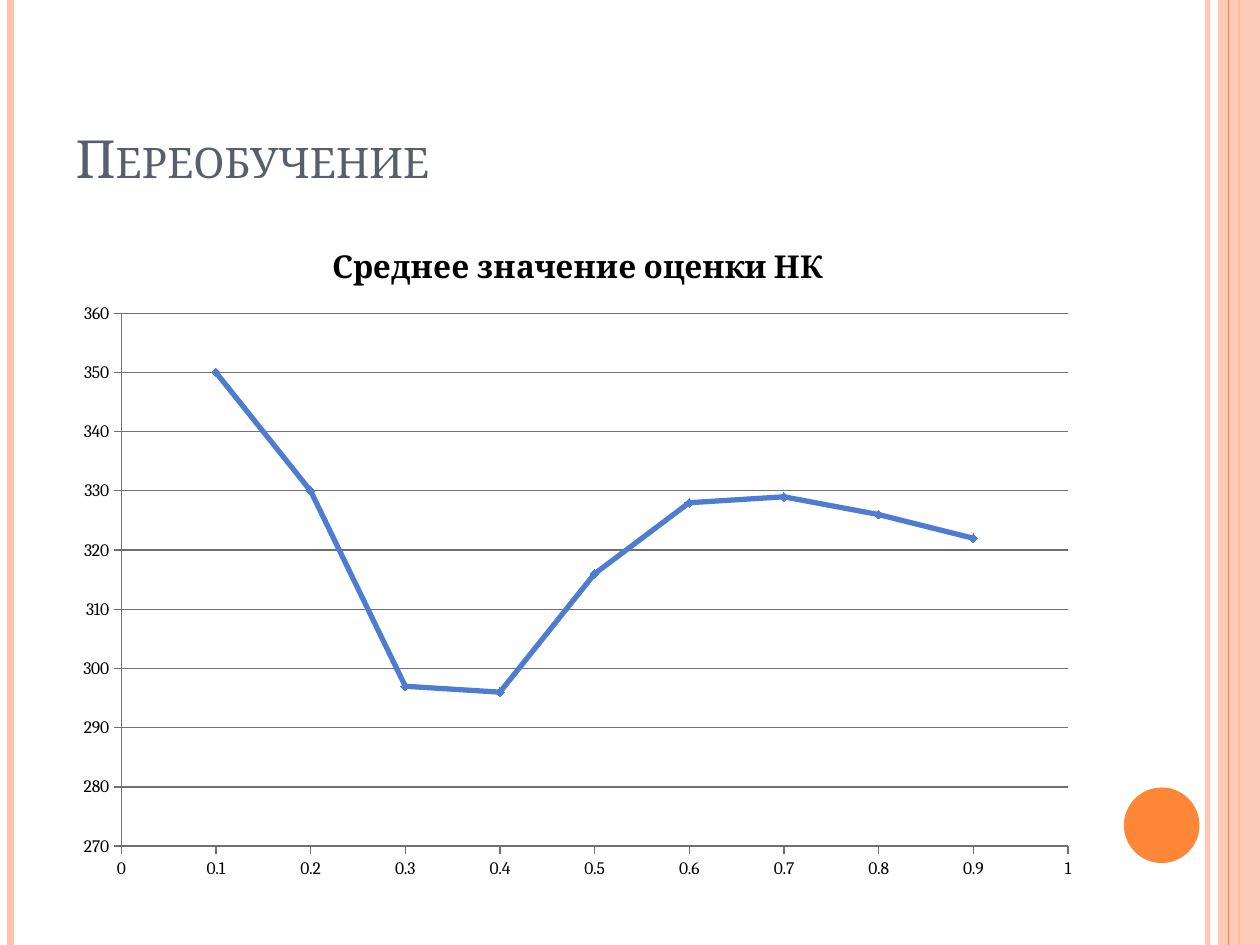
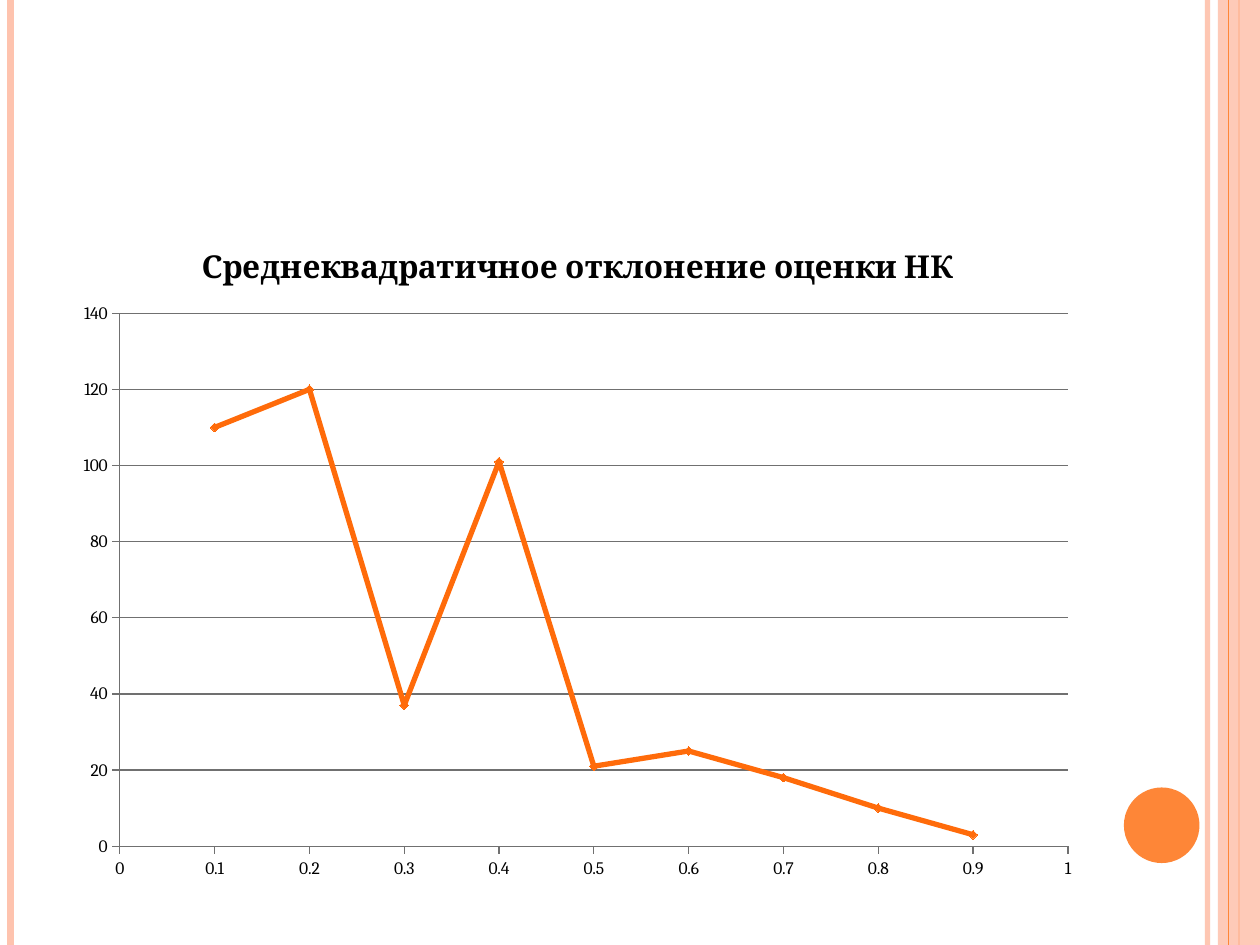
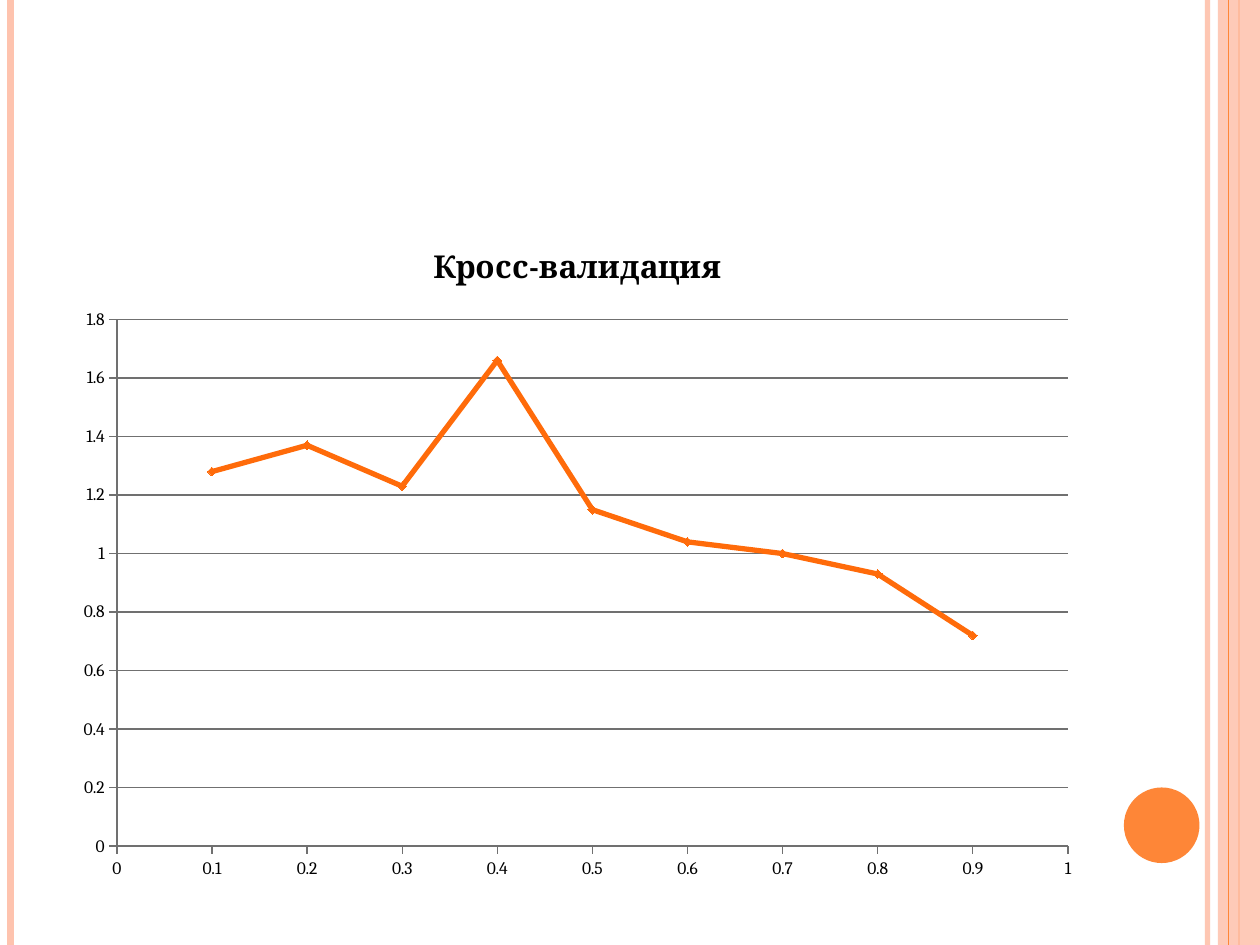
from lxml.etree import SubElement
from pptx import Presentation
from pptx.chart.data import XyChartData
from pptx.dml.color import RGBColor
from pptx.enum.chart import XL_CHART_TYPE, XL_MARKER_STYLE, XL_TICK_LABEL_POSITION, XL_TICK_MARK
from pptx.enum.shapes import MSO_CONNECTOR, MSO_SHAPE
from pptx.enum.text import MSO_ANCHOR, PP_ALIGN
from pptx.oxml.ns import qn
from pptx.util import Pt

FONT = "Cambria"
PEACH = RGBColor(0xFE, 0xC3, 0xAE)
ORANGE = RGBColor(0xFE, 0x86, 0x37)
SLATE = RGBColor(0x57, 0x5F, 0x6D)
BLACK = RGBColor(0, 0, 0)
GRID_GRAY = RGBColor(0x70, 0x70, 0x70)
BLUE_SERIES = RGBColor(0x4E, 0x7C, 0xD0)
ORANGE_SERIES = RGBColor(0xFF, 0x6B, 0x0A)

SLIDE_WIDTH, SLIDE_HEIGHT = 720, 540
CHART_LEFT, CHART_TOP, CHART_WIDTH, CHART_HEIGHT = 36, 126, 588, 384
PLOT_RIGHT, PLOT_BOTTOM = 610.3, 483.6
TITLE_LAYOUT, BLANK_LAYOUT = 5, 6
SHARES = [step / 10 for step in range(1, 10)]

# slide title, chart title, values, series colour, axis (low, high, step), plot (left, top)
CHARTS = [
    ("Переобучение", "Среднее значение оценки НК",
     [350, 330, 297, 296, 316, 328, 329, 326, 322],
     BLUE_SERIES, (270, 360, 10), (69.3, 179)),
    (None, "Среднеквадратичное отклонение оценки НК",
     [110, 120, 37, 101, 21, 25, 18, 10, 3],
     ORANGE_SERIES, (0, 140, 20), (68.5, 179)),
    (None, "Кросс-валидация",
     [1.28, 1.37, 1.23, 1.66, 1.15, 1.04, 1, 0.93, 0.72],
     ORANGE_SERIES, (0, 1.8, 0.2), (66.8, 182.6)),
]


def set_opacity(shape, percent):
    """Make the shape's one solid colour partly transparent."""
    color = next(shape.element.spPr.iter(qn("a:srgbClr")))
    SubElement(color, qn("a:alpha"), val=str(percent * 1000))


def add_stripe(slide, x, color, width):
    """Draw a vertical line over the full slide height."""
    stripe = slide.shapes.add_connector(
        MSO_CONNECTOR.STRAIGHT, Pt(x), Pt(0), Pt(x), Pt(SLIDE_HEIGHT))
    stripe.line.color.rgb = color
    stripe.line.width = Pt(width)
    SubElement(stripe.element.spPr, qn("a:effectLst"))
    return stripe


presentation = Presentation()
presentation.slide_width = Pt(SLIDE_WIDTH)
presentation.slide_height = Pt(SLIDE_HEIGHT)
slides = [
    presentation.slides.add_slide(
        presentation.slide_layouts[TITLE_LAYOUT if title else BLANK_LAYOUT])
    for title, *_ in CHARTS
]

# Shared decoration: drawn on the first slide, then moved behind the master's placeholders
first_slide = slides[0]
inner_stripe = add_stripe(first_slide, 690, PEACH, 3)
set_opacity(inner_stripe, 93)
left_stripe = add_stripe(first_slide, 6, PEACH, 4.5)
band_stripe = add_stripe(first_slide, 708, ORANGE, 1.5)
band = first_slide.shapes.add_shape(
    MSO_SHAPE.RECTANGLE, Pt(696), Pt(0), Pt(24), Pt(SLIDE_HEIGHT))
thin_stripe = add_stripe(first_slide, 702, ORANGE, 0.75)
circle = first_slide.shapes.add_shape(MSO_SHAPE.OVAL, Pt(642.24), Pt(450), Pt(43.2), Pt(43.2))
for shape, color in ((band, PEACH), (circle, ORANGE)):
    shape.shadow.inherit = False
    shape.fill.solid()
    shape.fill.fore_color.rgb = color
    shape.line.fill.background()
set_opacity(band, 87)

master_tree = presentation.slide_master.shapes.element
decoration = [inner_stripe, left_stripe, band_stripe, band, thin_stripe, circle]
for position, shape in enumerate(decoration, start=2):
    master_tree.insert(position, shape.element)

for slide, (title, chart_title, values, color, scale, plot_corner) in zip(slides, CHARTS):
    if title:
        placeholder = slide.shapes.title
        placeholder.left, placeholder.top = Pt(36), Pt(21.6)
        placeholder.width, placeholder.height = Pt(588), Pt(90)
        placeholder.text_frame.vertical_anchor = MSO_ANCHOR.BOTTOM
        paragraph = placeholder.text_frame.paragraphs[0]
        paragraph.alignment = PP_ALIGN.LEFT
        run = paragraph.add_run()
        run.text = title
        run.font.name = FONT
        run.font.size = Pt(30)
        run.font.color.rgb = SLATE
        next(placeholder.element.iter(qn("a:rPr"))).set("cap", "small")

    chart_data = XyChartData()
    points = chart_data.add_series("Series 1")
    for share, value in zip(SHARES, values):
        points.add_data_point(share, value)
    chart = slide.shapes.add_chart(
        XL_CHART_TYPE.XY_SCATTER_LINES, Pt(CHART_LEFT), Pt(CHART_TOP),
        Pt(CHART_WIDTH), Pt(CHART_HEIGHT), chart_data).chart
    chart.has_legend = False
    chart.font.name = FONT
    chart.font.size = Pt(10)
    chart.font.color.rgb = BLACK

    chart.has_title = True
    chart.chart_title.include_in_layout = False
    run = chart.chart_title.text_frame.paragraphs[0].add_run()
    run.text = chart_title
    run.font.name = FONT
    run.font.size = Pt(18)
    run.font.bold = True
    run.font.color.rgb = BLACK

    for axis, (low, high, step) in ((chart.category_axis, (0, 1, 0.1)), (chart.value_axis, scale)):
        axis.minimum_scale, axis.maximum_scale, axis.major_unit = low, high, step
        axis.major_tick_mark = XL_TICK_MARK.OUTSIDE
        axis.minor_tick_mark = XL_TICK_MARK.NONE
        axis.tick_label_position = XL_TICK_LABEL_POSITION.NEXT_TO_AXIS
        axis.tick_labels.number_format = "General"
        axis.tick_labels.number_format_is_linked = False
        axis.format.line.color.rgb = GRID_GRAY
        axis.format.line.width = Pt(0.75)
        axis.has_major_gridlines = False
    gridlines = chart.value_axis.major_gridlines.format.line
    gridlines.color.rgb = GRID_GRAY
    gridlines.width = Pt(0.75)

    # Fix the inner plot area, as fractions of the chart
    plot_left, plot_top = plot_corner
    plot_area = next(chart.element.iter(qn("c:plotArea")))
    layout = plot_area.find(qn("c:layout"))
    if layout is None:
        layout = SubElement(plot_area, qn("c:layout"))
        plot_area.insert(0, layout)
    manual_layout = SubElement(layout, qn("c:manualLayout"))
    for tag, setting in (
        ("c:layoutTarget", "inner"),
        ("c:xMode", "edge"),
        ("c:yMode", "edge"),
        ("c:x", (plot_left - CHART_LEFT) / CHART_WIDTH),
        ("c:y", (plot_top - CHART_TOP) / CHART_HEIGHT),
        ("c:w", (PLOT_RIGHT - plot_left) / CHART_WIDTH),
        ("c:h", (PLOT_BOTTOM - plot_top) / CHART_HEIGHT),
    ):
        SubElement(manual_layout, qn(tag), val=str(setting))

    plot = chart.plots[0]
    plot.vary_by_categories = False
    series = plot.series[0]
    series.smooth = False
    series.format.line.color.rgb = color
    series.format.line.width = Pt(3)
    series.marker.style = XL_MARKER_STYLE.DIAMOND
    series.marker.size = 5
    series.marker.format.fill.solid()
    series.marker.format.fill.fore_color.rgb = color
    series.marker.format.line.color.rgb = color

presentation.save("out.pptx")
